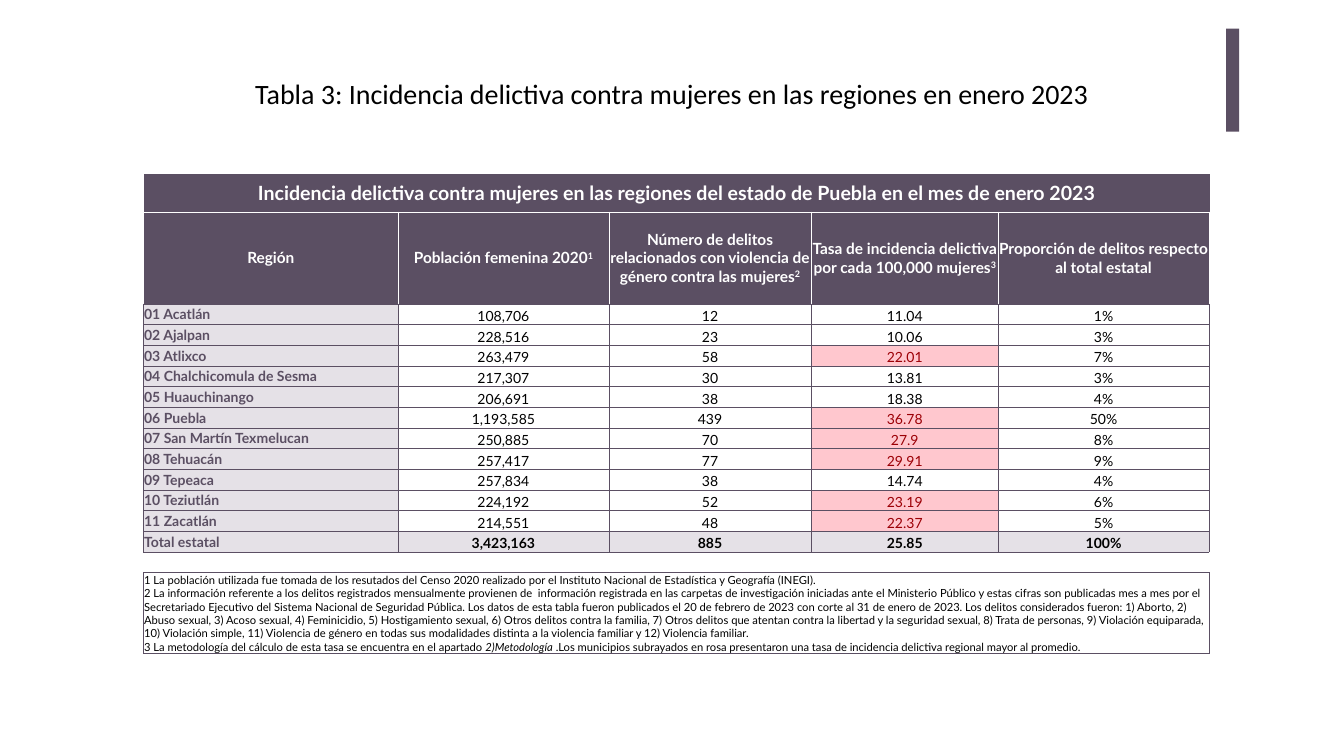
from lxml import etree
from pptx import Presentation
from pptx.dml.color import RGBColor
from pptx.enum.shapes import MSO_SHAPE
from pptx.enum.text import MSO_ANCHOR as Anchor, PP_ALIGN as Align
from pptx.oxml.ns import qn
from pptx.util import Inches, Pt

PURPLE, LILAC, PINK, RED = "5B4F63", "E5E1E7", "FFC7CE", "9C0006"
WHITE, BLACK = "FFFFFF", "000000"

TITLE = "Tabla 3: Incidencia delictiva contra mujeres en las regiones en enero 2023"
BANNER = "Incidencia delictiva contra mujeres en las regiones del estado de Puebla en el mes de enero 2023"
# Column heading, footnote mark, width
COLUMNS = [
    ("Región", "", 5.05),
    ("Población femenina 2020", "1", 4.18),
    ("Número de delitos relacionados con violencia de género contra las mujeres", "2", 4.02),
    ("Tasa de incidencia delictiva por cada 100,000 mujeres", "3", 3.71),
    ("Proporción de delitos respecto al total estatal", "", 4.18),
]
REGIONS = [
    ("01 Acatlán", "108,706", "12", "11.04", "1%"),
    ("02 Ajalpan", "228,516", "23", "10.06", "3%"),
    ("03 Atlixco", "263,479", "58", "22.01", "7%"),
    ("04 Chalchicomula de Sesma", "217,307", "30", "13.81", "3%"),
    ("05 Huauchinango", "206,691", "38", "18.38", "4%"),
    ("06 Puebla", "1,193,585", "439", "36.78", "50%"),
    ("07 San Martín Texmelucan", "250,885", "70", "27.9", "8%"),
    ("08 Tehuacán", "257,417", "77", "29.91", "9%"),
    ("09 Tepeaca", "257,834", "38", "14.74", "4%"),
    ("10 Teziutlán", "224,192", "52", "23.19", "6%"),
    ("11 Zacatlán", "214,551", "48", "22.37", "5%"),
]
TOTAL = ("Total estatal", "3,423,163", "885", "25.85", "100%")
RATE_COLUMN = 3
# Each note is a list of (text, italic)
NOTES = [
    [("1 La población utilizada fue tomada de los resutados del Censo 2020 realizado por el "
      "Instituto Nacional de Estadística y Geografía (INEGI).", False)],
    [("2 La información referente a los delitos registrados mensualmente provienen de  información "
      "registrada en las carpetas de investigación iniciadas ante el Ministerio Público y estas cifras "
      "son publicadas mes a mes por el Secretariado Ejecutivo del Sistema Nacional de Seguridad Pública. "
      "Los datos de esta tabla fueron publicados el 20 de febrero de 2023 con corte al 31 de enero de 2023. "
      "Los delitos considerados fueron: 1) Aborto, 2) Abuso sexual, 3) Acoso sexual, 4) Feminicidio, "
      "5) Hostigamiento sexual, 6) Otros delitos contra la familia, 7) Otros delitos que atentan contra "
      "la libertad y la seguridad sexual, 8) Trata de personas, 9) Violación equiparada, 10) Violación "
      "simple, 11) Violencia de género en todas sus modalidades distinta a la violencia familiar y "
      "12) Violencia familiar.", False)],
    [("3 La metodología del cálculo de esta tasa se encuentra en el apartado ", False),
     ("2)Metodología", True),
     (" .Los municipios subrayados en rosa presentaron una tasa de incidencia delictiva regional "
      "mayor al promedio.", False)],
]


def rgb(color):
    return RGBColor.from_string(color)


def set_font(font, size, color, bold=False, name="Lato"):
    font.name, font.size, font.bold = name, Pt(size), bold
    font.color.rgb = rgb(color)


def style_cell(cell, fill=None, anchor=Anchor.MIDDLE, **borders):
    """Set margins, fill and borders; borders maps L, R, T, B to a colour or None."""
    cell.margin_left = cell.margin_right = cell.margin_top = Inches(0.01)
    cell.margin_bottom = 0
    cell.vertical_anchor = anchor
    if fill:
        cell.fill.solid()
        cell.fill.fore_color.rgb = rgb(fill)
    else:
        cell.fill.background()
    properties = cell._tc.get_or_add_tcPr()
    for position, side in enumerate("LRTB"):
        color = borders.get(side, PURPLE)
        line = etree.Element(qn(f"a:ln{side}"), w=str(Pt(0.5)))
        if color:
            solid = etree.SubElement(line, qn("a:solidFill"))
            etree.SubElement(solid, qn("a:srgbClr"), val=color)
        else:
            etree.SubElement(line, qn("a:noFill"))
        properties.insert(position, line)


def write_cell(cell, text, size, color, bold=False, align=Align.CENTER):
    paragraph = cell.text_frame.paragraphs[0]
    paragraph.add_run().text = text
    paragraph.alignment = align
    set_font(paragraph.font, size, color, bold)
    return paragraph


def fill_header(table):
    for column, (heading, mark, width) in enumerate(COLUMNS):
        table.columns[column].width = Inches(width)
        style_cell(table.cell(0, column), PURPLE, L=WHITE, B=WHITE)
        cell = table.cell(1, column)
        style_cell(cell, PURPLE, L=WHITE, R=WHITE, T=WHITE)
        paragraph = write_cell(cell, heading, 22, WHITE, True)
        if mark:
            superscript = paragraph.add_run()
            superscript.text = mark
            superscript._r.get_or_add_rPr().set("baseline", "30000")
    write_cell(table.cell(0, 0), BANNER, 28, WHITE, True)


def fill_regions(table):
    average = float(TOTAL[RATE_COLUMN])
    # Regions highlighted in the published table: rates above the threshold
    threshold = min(average, 20)
    for row, values in enumerate(REGIONS + [TOTAL], 2):
        is_total = values is TOTAL
        for column, value in enumerate(values):
            cell = table.cell(row, column)
            if column == 0:
                style_cell(cell, LILAC)
                write_cell(cell, value, 20, PURPLE, True, Align.LEFT)
                continue
            high = column == RATE_COLUMN and not is_total and float(value) > threshold
            style_cell(cell, LILAC if is_total else PINK if high else None, Anchor.BOTTOM)
            write_cell(cell, value, 20, RED if high else BLACK, is_total)


def fill_notes(table, spacer_row, notes_row):
    for column in range(len(COLUMNS)):
        style_cell(table.cell(spacer_row, column), L=None, R=None)
        style_cell(table.cell(notes_row, column), anchor=Anchor.BOTTOM)
    frame = table.cell(notes_row, 0).text_frame
    for index, note in enumerate(NOTES):
        paragraph = frame.add_paragraph() if index else frame.paragraphs[0]
        set_font(paragraph.font, 16, BLACK)
        for text, italic in note:
            run = paragraph.add_run()
            run.text = text
            if italic:
                run.font.italic = True


def main():
    deck = Presentation()
    deck.slide_width, deck.slide_height = Inches(26.67), Inches(15)
    slide = deck.slides.add_slide(deck.slide_layouts[5])

    accent = slide.shapes.add_shape(MSO_SHAPE.RECTANGLE, Inches(24.33), Inches(0.57), Inches(0.26), Inches(2.04))
    accent.shadow.inherit = False
    accent.fill.solid()
    accent.fill.fore_color.rgb = rgb(PURPLE)
    accent.line.fill.background()

    title = slide.shapes.title
    title.left, title.top, title.width, title.height = map(Inches, (3.76, 1.46, 19.14, 0.77))
    title.text_frame.text = TITLE
    title.text_frame.vertical_anchor = Anchor.TOP
    heading = title.text_frame.paragraphs[0]
    heading.alignment = Align.CENTER
    set_font(heading.font, 40, BLACK, name="Calibri")

    heights = [0.74, 1.83] + [0.41] * (len(REGIONS) + 2) + [1.61]
    width = sum(column[2] for column in COLUMNS)
    table = slide.shapes.add_table(len(heights), len(COLUMNS), Inches(2.85), Inches(3.46),
                                   Inches(width), Inches(sum(heights))).table
    table.first_row = table.horz_banding = False
    for row, height in zip(table.rows, heights):
        row.height = Inches(height)

    last = len(heights) - 1
    fill_header(table)
    fill_regions(table)
    fill_notes(table, last - 1, last)
    for row in (0, last):
        table.cell(row, 0).merge(table.cell(row, len(COLUMNS) - 1))
    deck.save("out.pptx")


if __name__ == "__main__":
    main()
